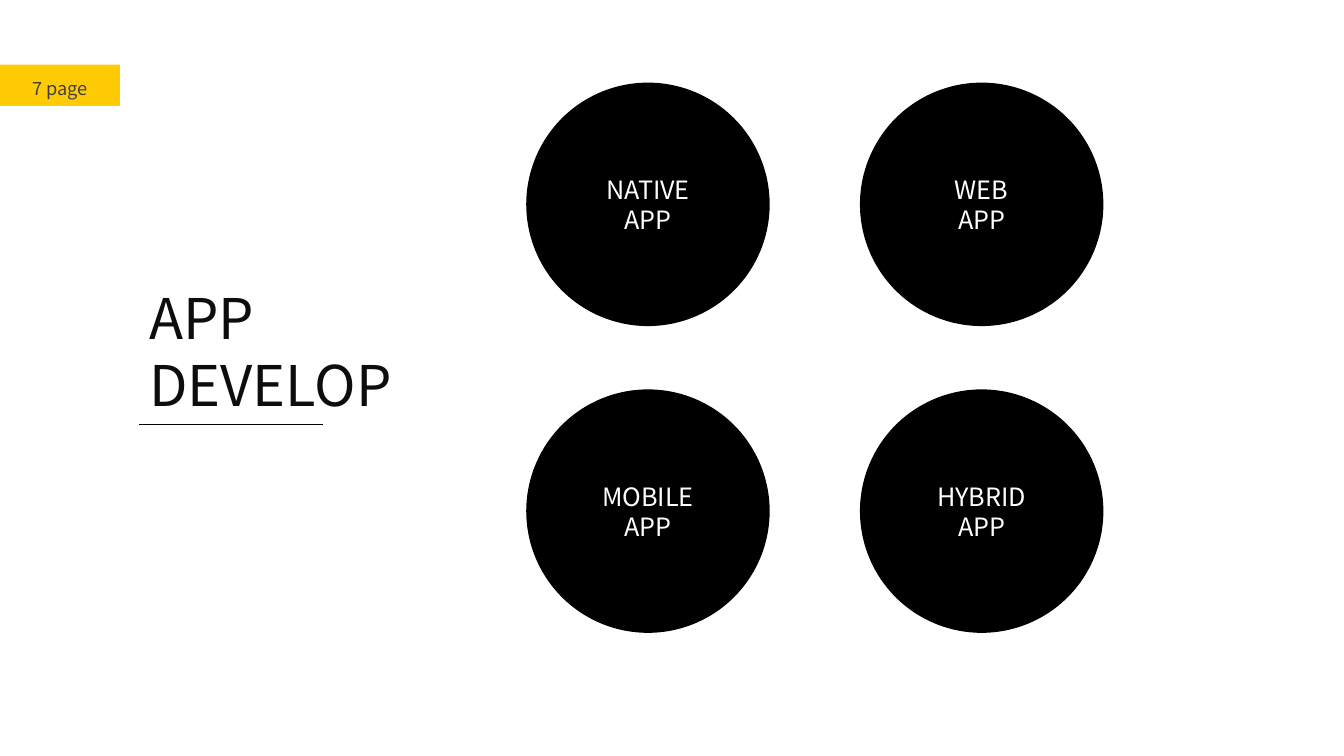
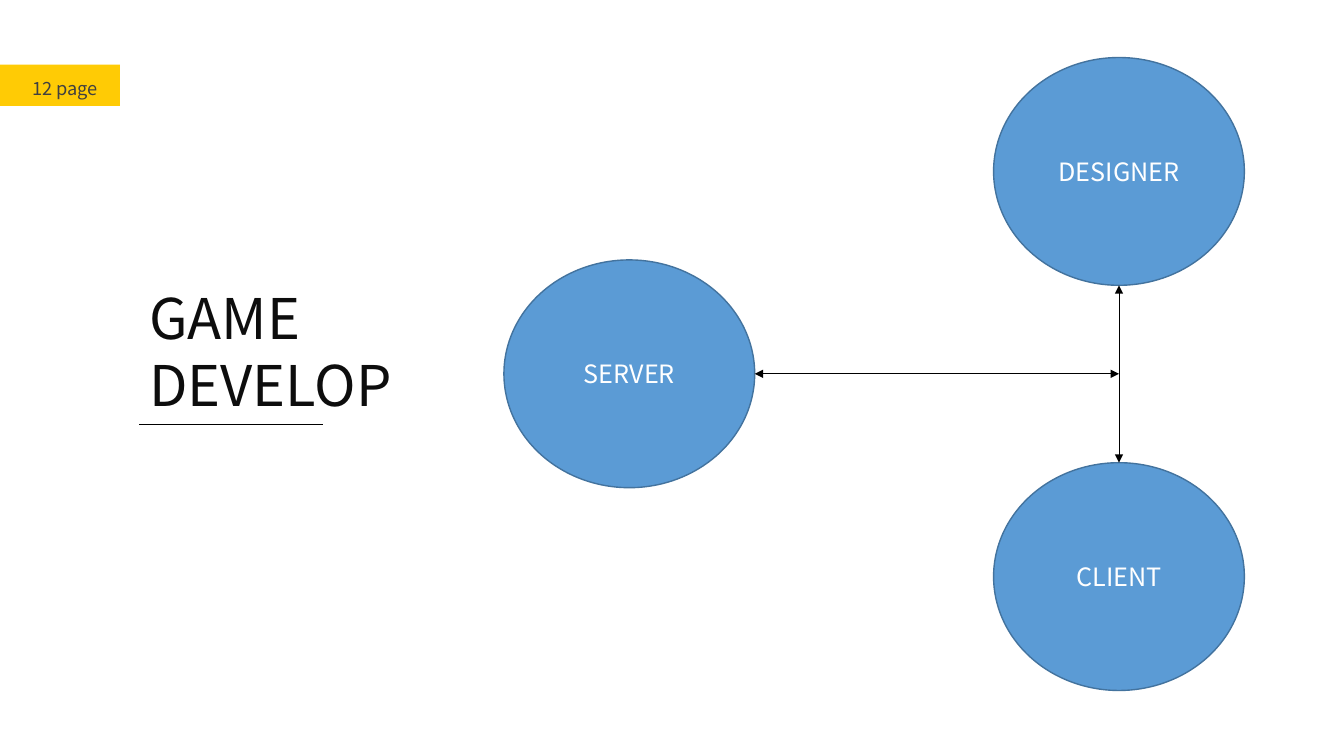
from dataclasses import dataclass
from itertools import product
from typing import Any

from lxml.etree import SubElement
from pptx import Presentation
from pptx.dml.color import RGBColor
from pptx.enum.shapes import MSO_CONNECTOR as Connector, MSO_SHAPE as Preset
from pptx.enum.text import MSO_ANCHOR as Anchor, MSO_AUTO_SIZE as AutoSize, PP_ALIGN as Align
from pptx.oxml.ns import qn
from pptx.shapes.autoshape import Shape
from pptx.slide import Slide
from pptx.util import Cm, Pt

# Shared look
FONT = "Noto Sans CJK KR"
BLACK, WHITE, YELLOW = "000000", "FFFFFF", "FFCB05"
BLUE, BLUE_EDGE = "5B9BD5", "43739E"
GREY, INK = "404040", "0D0D0D"


@dataclass(frozen=True)
class Area:
    """A rectangle in centimetres."""
    left: float
    top: float
    width: float
    height: float

    @property
    def right(self) -> float:
        return self.left + self.width

    @property
    def bottom(self) -> float:
        return self.top + self.height

    @property
    def center_x(self) -> float:
        return self.left + self.width / 2

    @property
    def center_y(self) -> float:
        return self.top + self.height / 2


@dataclass(frozen=True)
class TextStyle:
    size: float
    color: str
    align: Align = Align.LEFT
    anchor: Anchor = Anchor.TOP
    spacing: float = 1.0


@dataclass(frozen=True)
class Bubble:
    lines: tuple[str, ...]
    area: Area
    fill: str
    edge: str


PAGE_STYLE = TextStyle(13, GREY, spacing=1.5)
TITLE_STYLE = TextStyle(40, INK)
BUBBLE_STYLE = TextStyle(18, WHITE, Align.CENTER, Anchor.MIDDLE)

BAND = Area(0, 1.63, 3.02, 1.04)
PAGE_LABEL = Area(0.56, 1.55, 2.95, 1.09)
TITLE = Area(3.51, 7.01, 9.19, 3.68)
RULE_LENGTH = 4.62


# Helpers
def rgb(color: str) -> RGBColor:
    return RGBColor.from_string(color)


def apply(target: Any, values: dict[str, Any]) -> None:
    for name, value in values.items():
        setattr(target, name, value)


def lengths(area: Area) -> tuple[Cm, Cm, Cm, Cm]:
    return Cm(area.left), Cm(area.top), Cm(area.width), Cm(area.height)


def write(box: Shape, lines: tuple[str, ...], style: TextStyle) -> None:
    frame = box.text_frame
    apply(frame, {"word_wrap": True, "auto_size": AutoSize.NONE,
                  "vertical_anchor": style.anchor})
    frame.text = "\n".join(lines)
    for para in frame.paragraphs:
        apply(para, {"alignment": style.align, "line_spacing": style.spacing})
        for span in para.runs:
            apply(span.font, {"name": FONT, "size": Pt(style.size)})
            span.font.color.rgb = rgb(style.color)


def add_filled(page: Slide, preset: Preset, area: Area, fill: str, edge: str = "") -> Shape:
    shape = page.shapes.add_shape(preset, *lengths(area))
    shape.shadow.inherit = False
    shape.fill.solid()
    shape.fill.fore_color.rgb = rgb(fill)
    if edge:
        shape.line.color.rgb = rgb(edge)
        shape.line.width = Pt(1)
    else:
        shape.line.fill.background()
    return shape


def add_bubble(page: Slide, bubble: Bubble) -> None:
    shape = add_filled(page, Preset.OVAL, bubble.area, bubble.fill, bubble.edge)
    write(shape, bubble.lines, BUBBLE_STYLE)


def add_line(page: Slide, start: tuple[float, float], end: tuple[float, float],
             arrows: bool = False) -> None:
    points = [Cm(value) for value in (*start, *end)]
    connector = page.shapes.add_connector(Connector.STRAIGHT, *points)
    connector.line.color.rgb = rgb(BLACK)
    connector.line.width = Pt(0.5)
    if arrows:
        for tag in ("a:headEnd", "a:tailEnd"):
            SubElement(connector.line._get_or_add_ln(), qn(tag), type="triangle")
    SubElement(connector._element.spPr, qn("a:effectLst"))


def add_page(deck: Any, number: int, title: tuple[str, ...]) -> Slide:
    """Title-only slide with the page band, the title and its rule."""
    page = deck.slides.add_slide(deck.slide_layouts.get_by_name("Title Only"))
    add_filled(page, Preset.RECTANGLE, BAND, YELLOW)
    label = page.shapes.add_textbox(*lengths(PAGE_LABEL))
    write(label, (f"{number} page",), PAGE_STYLE)

    heading = page.shapes.title
    apply(heading, dict(zip(("left", "top", "width", "height"), lengths(TITLE))))
    write(heading, title, TITLE_STYLE)
    add_line(page, (TITLE.left, TITLE.bottom), (TITLE.left + RULE_LENGTH, TITLE.bottom))
    return page


# Slide 1: grid of app kinds
def build_apps(deck: Any) -> None:
    page = add_page(deck, 7, ("APP", "DEVELOP"))
    left, top, size, column_step, row_step = 13.28, 2.1, 6.1, 8.41, 7.73
    kinds = ("NATIVE", "WEB", "MOBILE", "HYBRID")
    for kind, (row, column) in zip(kinds, product(range(2), repeat=2)):
        area = Area(left + column * column_step, top + row * row_step, size, size)
        add_bubble(page, Bubble((kind, "APP"), area, BLACK, BLACK))


# Slide 2: game roles and their links
def build_game(deck: Any) -> None:
    page = add_page(deck, 12, ("GAME", "DEVELOP"))
    width, height = 6.32, 5.74
    server = Area(12.7, 6.55, width, height)
    client = Area(25.04, 11.66, width, height)
    designer = Area(25.04, 1.45, width, height)
    for role, area in (("SERVER", server), ("CLIENT", client), ("DESIGNER", designer)):
        add_bubble(page, Bubble((role,), area, BLUE, BLUE_EDGE))

    trunk = designer.center_x
    add_line(page, (trunk, designer.bottom), (trunk, client.top), arrows=True)
    add_line(page, (server.right, server.center_y), (trunk, server.center_y), arrows=True)


def main() -> None:
    deck = Presentation()
    apply(deck, {"slide_width": Cm(33.87), "slide_height": Cm(19.05)})
    build_apps(deck)
    build_game(deck)
    deck.save("out.pptx")


main()
